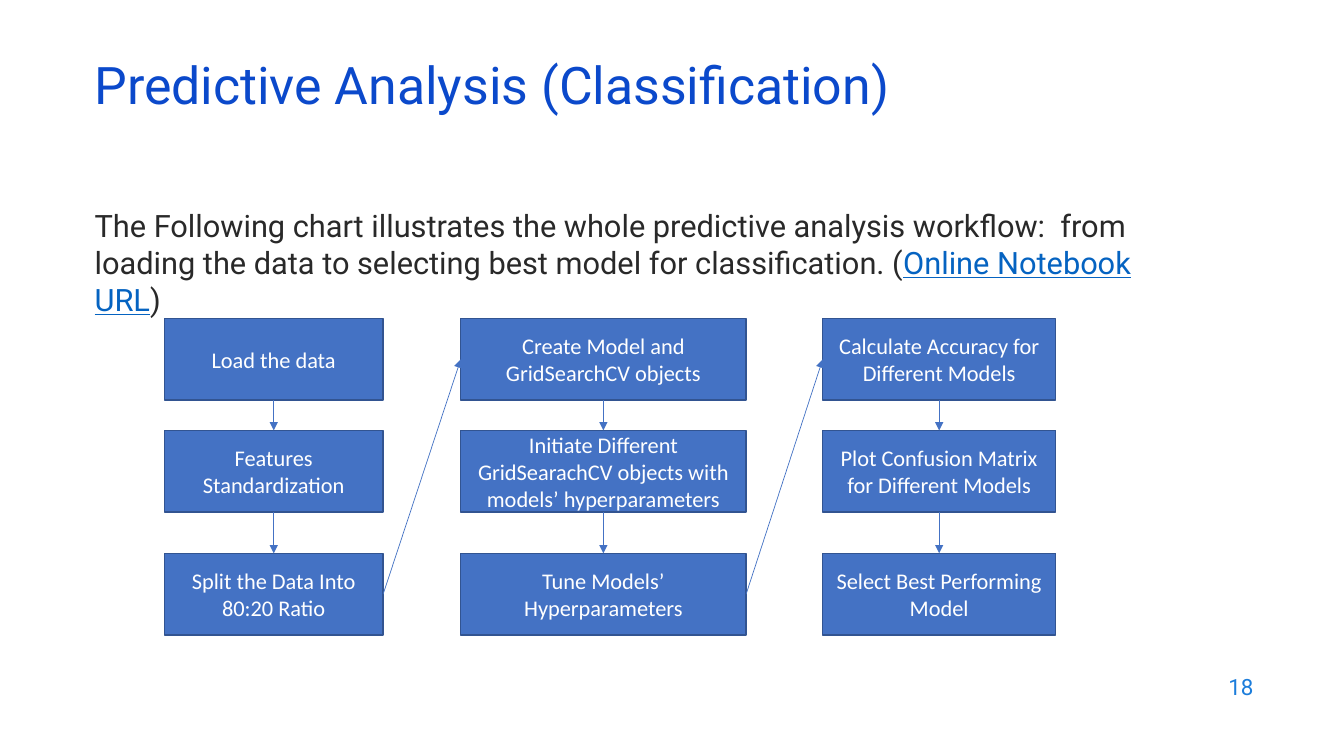
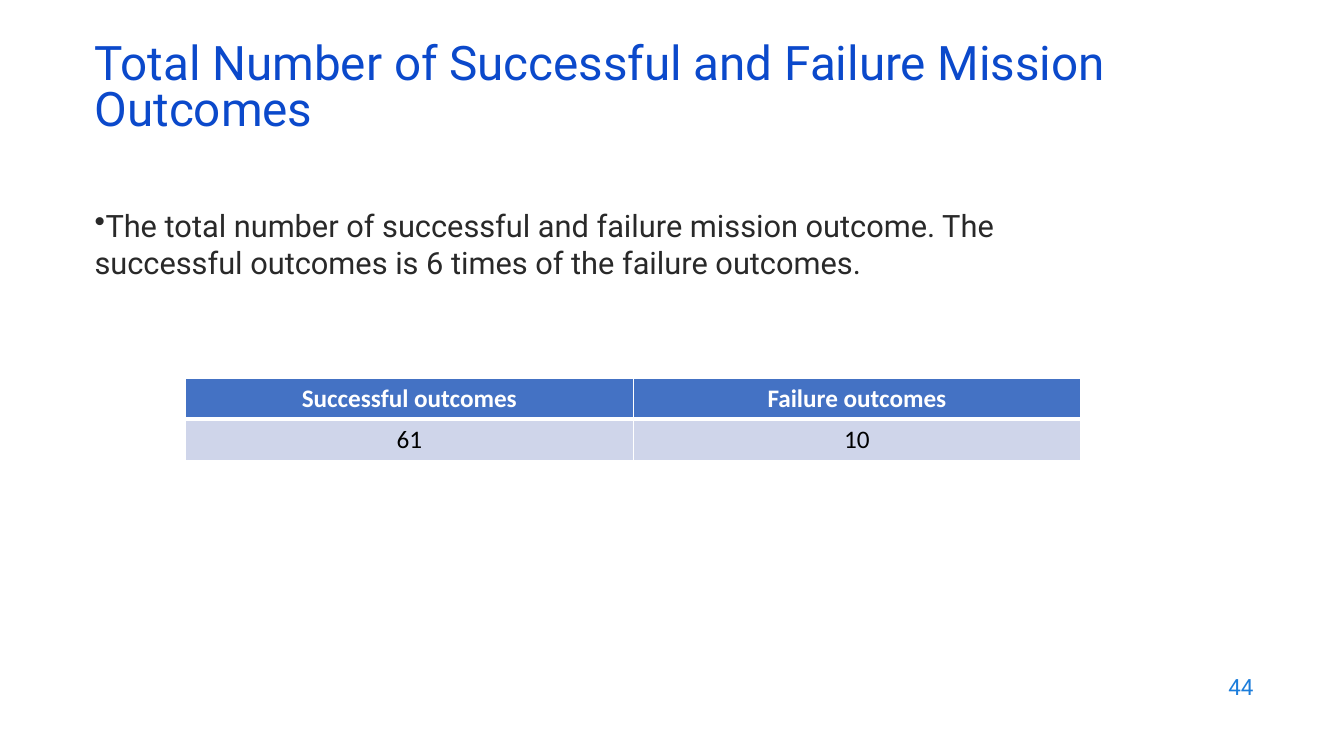
from pptx import Presentation
from pptx.dml.color import RGBColor
from pptx.enum.shapes import MSO_CONNECTOR, MSO_SHAPE
from pptx.enum.text import MSO_ANCHOR, PP_ALIGN
from pptx.oxml.ns import qn
from pptx.oxml.xmlchemy import OxmlElement
from pptx.util import Pt

PX = 9144  # EMU per px, 100 px to the inch
PROCESS, STRAIGHT = MSO_SHAPE.FLOWCHART_PROCESS, MSO_CONNECTOR.STRAIGHT
LEFT, CENTER, RIGHT = PP_ALIGN.LEFT, PP_ALIGN.CENTER, PP_ALIGN.RIGHT
TOP, MIDDLE = MSO_ANCHOR.TOP, MSO_ANCHOR.MIDDLE
SITE_TOP, SITE_LEFT, SITE_BOTTOM, SITE_RIGHT = range(4)

TITLE_BLUE = RGBColor(0x0B, 0x49, 0xCB)
PAGE_BLUE = RGBColor(0x1C, 0x7D, 0xDB)
LINK_BLUE = RGBColor(0x05, 0x63, 0xC1)
ACCENT = RGBColor(0x44, 0x72, 0xC4)
OUTLINE = RGBColor(0x32, 0x54, 0x91)
ROW_TINT = RGBColor(0xCF, 0xD5, 0xEA)
INK = RGBColor(0x29, 0x29, 0x29)
BLACK = RGBColor(0x00, 0x00, 0x00)
WHITE = RGBColor(0xFF, 0xFF, 0xFF)
HEAD_FONT, BODY_FONT = "Roboto", "Calibri"


class Deck:
    def __init__(self):
        self.prs = Presentation()
        self.prs.slide_width, self.prs.slide_height = 1333 * PX, 750 * PX
        self.s = None

    def slide(self, title, size, page):
        self.s = self.prs.slides.add_slide(self.prs.slide_layouts[6])
        p = self.text_box(84, 59, 1150, 60, MIDDLE)
        p.line_spacing = 0.8
        self.run(p, title, size, TITLE_BLUE)
        p = self.text_box(953, 659, 300, 44, MIDDLE)
        p.alignment = RIGHT
        self.run(p, str(page), 16, PAGE_BLUE)

    def run(self, p, text, size, color, font=HEAD_FONT, bold=False, underline=False):
        r = p.add_run()
        r.text = text
        r.font.name, r.font.size, r.font.bold = font, Pt(size), bold
        r.font.underline = underline
        r.font.color.rgb = color

    def text_box(self, x, y, w, h, anchor=TOP):
        tf = self.s.shapes.add_textbox(x * PX, y * PX, w * PX, h * PX).text_frame
        tf.word_wrap, tf.vertical_anchor = True, anchor
        p = tf.paragraphs[0]
        p.alignment = LEFT
        return p

    def body(self, w, runs, bullet=False):
        p = self.text_box(84, 200, w, 476)
        if bullet:
            pPr = p._p.get_or_add_pPr()
            pPr.set("marL", "0")
            pPr.set("indent", "0")
            mark = OxmlElement("a:buChar")
            mark.set("char", "•")
            pPr.append(mark)
        for text, linked in runs:
            self.run(p, text, 22, LINK_BLUE if linked else INK, underline=linked)

    def step(self, x, y, w, h, text):
        sp = self.s.shapes.add_shape(PROCESS, x * PX, y * PX, w * PX, h * PX)
        sp.shadow.inherit = False
        sp.fill.solid()
        sp.fill.fore_color.rgb = ACCENT
        sp.line.color.rgb, sp.line.width = OUTLINE, Pt(1)
        tf = sp.text_frame
        tf.word_wrap, tf.vertical_anchor = True, MIDDLE
        p = tf.paragraphs[0]
        p.alignment = CENTER
        self.run(p, text, 16, WHITE, BODY_FONT)
        return sp

    def arrow(self, start, start_site, end, end_site):
        c = self.s.shapes.add_connector(STRAIGHT, 0, 0, 0, 0)
        c.begin_connect(start, start_site)
        c.end_connect(end, end_site)
        c.line.color.rgb, c.line.width = ACCENT, Pt(0.5)
        spPr = c._element.spPr
        head = OxmlElement("a:tailEnd")
        head.set("type", "triangle")
        spPr.find(qn("a:ln")).append(head)
        spPr.append(OxmlElement("a:effectLst"))

    def border(self, cell, side, width):
        ln = OxmlElement(f"a:ln{side}")
        ln.set("w", str(Pt(width)))
        fill = OxmlElement("a:solidFill")
        color = OxmlElement("a:srgbClr")
        color.set("val", str(WHITE))
        fill.append(color)
        ln.append(fill)
        cell._tc.get_or_add_tcPr().append(ln)

    def table(self, x, y, col_w, row_h, rows):
        n, m = len(rows), len(rows[0])
        table = self.s.shapes.add_table(
            n, m, x * PX, y * PX, m * col_w * PX, n * row_h * PX).table
        for col in table.columns:
            col.width = col_w * PX
        for i, texts in enumerate(rows):
            table.rows[i].height = row_h * PX
            header = i == 0
            # A thick rule separates the header from the first data row
            widths = {"L": 1, "R": 1, "T": 3 if i == 1 else 1, "B": 3 if header else 1}
            for j, text in enumerate(texts):
                cell = table.cell(i, j)
                for side, width in widths.items():
                    self.border(cell, side, width)
                cell.fill.solid()
                cell.fill.fore_color.rgb = ACCENT if header else ROW_TINT
                cell.margin_left = cell.margin_right = 4 * PX
                cell.margin_top = cell.margin_bottom = 4 * PX
                cell.vertical_anchor = MIDDLE
                p = cell.text_frame.paragraphs[0]
                p.alignment = CENTER
                self.run(p, text, 18, WHITE if header else BLACK, BODY_FONT, header)


def workflow_slide(deck):
    deck.slide("Predictive Analysis (Classification)", 37, 18)
    deck.body(1090, [
        ("The Following chart illustrates the whole predictive analysis workflow:  from "
         "loading the data to selecting best model for classification. (", False),
        ("Online Notebook URL", True),
        (")", False),
    ])
    # Columns of steps: left, width, texts from top to bottom
    columns = [
        (163, 217, ["Load the data", "Features Standardization",
                    "Split the Data Into 80:20 Ratio"]),
        (457, 283, ["Create Model and GridSearchCV objects",
                    "Initiate Different GridSearachCV objects with models’ hyperparameters",
                    "Tune Models’ Hyperparameters"]),
        (816, 231, ["Calculate Accuracy for Different Models",
                    "Plot Confusion Matrix for Different Models",
                    "Select Best Performing Model"]),
    ]
    row_tops = [316, 427, 549]
    grid = [[deck.step(x, y, w, 81, text) for y, text in zip(row_tops, texts)]
            for x, w, texts in columns]
    # Arrows down each column, then up to the next column
    for steps in grid:
        for upper, lower in zip(steps, steps[1:]):
            deck.arrow(upper, SITE_BOTTOM, lower, SITE_TOP)
    for steps, following in zip(grid, grid[1:]):
        deck.arrow(steps[-1], SITE_RIGHT, following[0], SITE_LEFT)


def outcomes_slide(deck):
    deck.slide("Total Number of Successful and Failure Mission Outcomes", 34, 44)
    deck.body(1060, [
        ("The total number of successful and failure mission outcome. The "
         "successful outcomes is 6 times of the failure outcomes.", False),
    ], bullet=True)
    deck.table(184, 375, 444, 41, [["Successful outcomes", "Failure outcomes"],
                                   ["61", "10"]])


def main():
    deck = Deck()
    workflow_slide(deck)
    outcomes_slide(deck)
    deck.prs.save("out.pptx")


if __name__ == "__main__":
    main()
